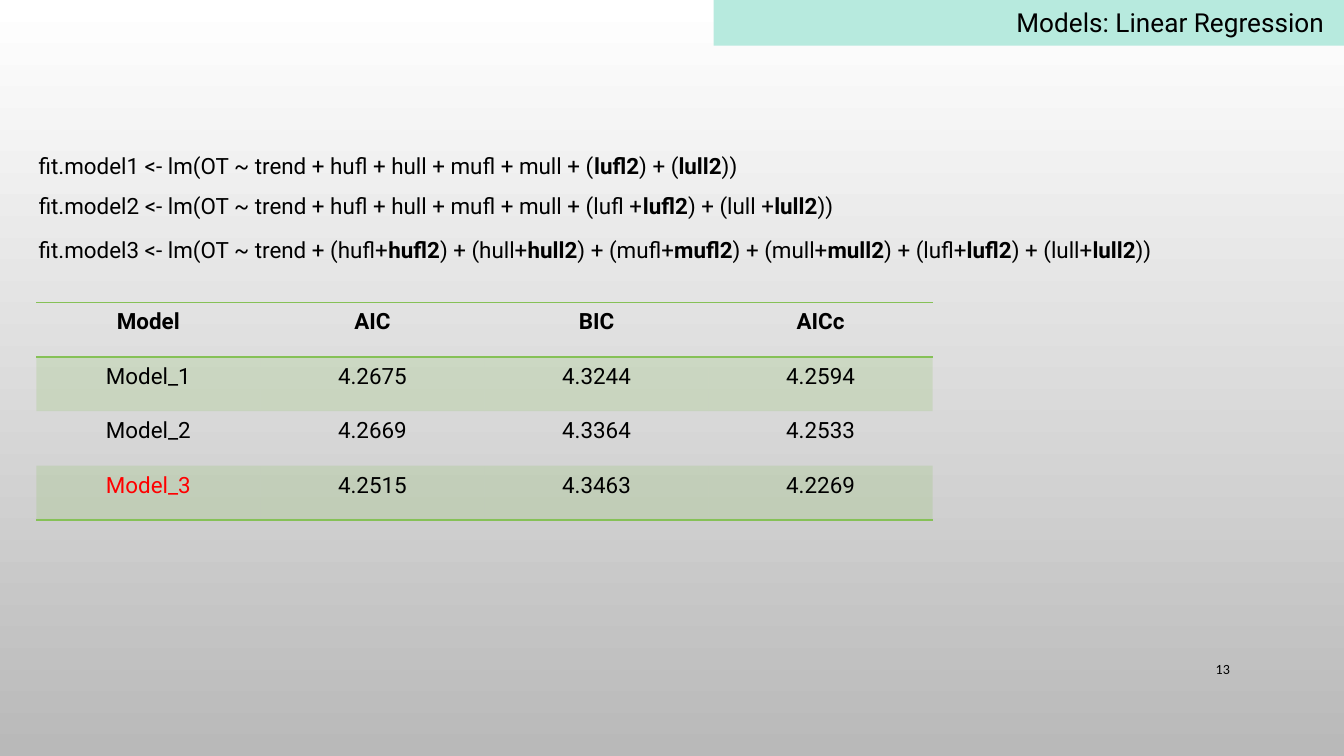
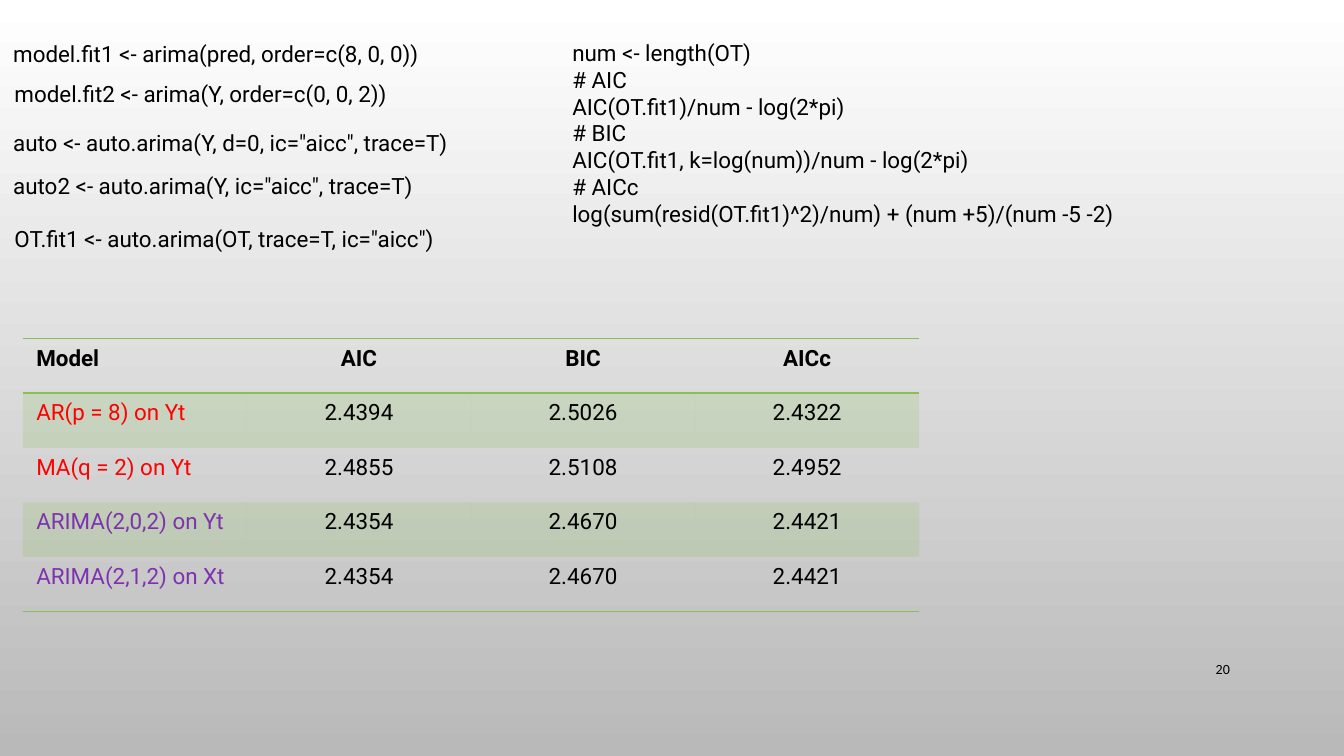
import pptx
import pptx.dml.color
import pptx.enum.shapes
import pptx.enum.text
import pptx.oxml
import pptx.oxml.ns
import pptx.util
from pptx.util import Inches

BLACK, RED, PURPLE = "000000", "FF0000", "7E32B0"
BAND, GREEN = "B7EADE", "86C157"
BACKGROUND = ("FFFFFF", "B9B9B9")
PLAIN_TABLE_STYLE = "{2D5ABB26-0587-4C30-8999-92F81FD0307C}"
TABLE_WIDTH = 6.67
HEADINGS = ("Model", "AIC", "BIC", "AICc")
ALIGN = pptx.enum.text.PP_ALIGN
ANCHOR = pptx.enum.text.MSO_ANCHOR

REGRESSION_FITS = [
    (1.08, 6.36, "fit.model1 <- lm(OT ~ trend + hufl + hull + mufl + mull"
                 " + (**lufl2**) + (**lull2**))"),
    (1.38, 6.75, "fit.model2 <- lm(OT ~ trend + hufl + hull + mufl + mull"
                 " + (lufl +**lufl2**) + (lull +**lull2**))"),
    (1.71, 8.57, "fit.model3 <- lm(OT ~ trend + (hufl+**hufl2**) + (hull+**hull2**)"
                 " + (mufl+**mufl2**) + (mull+**mull2**)"
                 " + (lufl+**lufl2**) + (lull+**lull2**))"),
]
REGRESSION_SCORES = [
    ("Model_1", "4.2675", "4.3244", "4.2594"),
    ("Model_2", "4.2669", "4.3364", "4.2533"),
    ("Model_3", "4.2515", "4.3463", "4.2269"),
]
ARIMA_FITS = [
    (0, 0.25, "model.fit1 <- arima(pred, order=c(8, 0, 0))"),
    (0.01, 0.55, "model.fit2 <- arima(Y, order=c(0, 0, 2))"),
    (0, 0.91, 'auto <- auto.arima(Y, d=0, ic="aicc", trace=T)'),
    (0, 1.23, 'auto2 <- auto.arima(Y, ic="aicc", trace=T)'),
    (0.01, 1.63, 'OT.fit1 <- auto.arima(OT, trace=T, ic="aicc")'),
]
CRITERIA_CODE = """num <- length(OT)
# AIC
AIC(OT.fit1)/num - log(2*pi)
# BIC
AIC(OT.fit1, k=log(num))/num - log(2*pi)
# AICc
log(sum(resid(OT.fit1)^2)/num) + (num +5)/(num -5 -2)"""
ARIMA_SCORES = [
    ("AR(p = 8) on Yt", "2.4394", "2.5026", "2.4322"),
    ("MA(q = 2) on Yt", "2.4855", "2.5108", "2.4952"),
    ("ARIMA(2,0,2) on Yt", "2.4354", "2.4670", "2.4421"),
    ("ARIMA(2,1,2) on Xt", "2.4354", "2.4670", "2.4421"),
]
MODEL_COLORS = {
    "Model_3": RED,
    "AR(p = 8) on Yt": RED,
    "MA(q = 2) on Yt": RED,
    "ARIMA(2,0,2) on Yt": PURPLE,
    "ARIMA(2,1,2) on Xt": PURPLE,
}


def rgb(hex_color):
    return pptx.dml.color.RGBColor.from_string(hex_color)


def write(frame, text, size=12, font="Roboto", color=BLACK, bold=False,
          align=ALIGN.LEFT):
    """Put one paragraph per line into frame; **marks** switch bold."""
    frame.word_wrap = True
    for number, line in enumerate(text.split("\n")):
        paragraph = frame.add_paragraph() if number else frame.paragraphs[0]
        paragraph.alignment = align
        for part, words in enumerate(line.split("**")):
            run = paragraph.add_run()
            run.text = words
            run.font.size = pptx.util.Pt(size)
            run.font.name = font
            run.font.color.rgb = rgb(color)
            run.font.bold = bold or part % 2 == 1


def add_text(slide, left, top, width, height, text, anchor=ANCHOR.TOP, **style):
    box = slide.shapes.add_textbox(
        Inches(left), Inches(top), Inches(width), Inches(height))
    box.text_frame.vertical_anchor = anchor
    write(box.text_frame, text, **style)


def add_slide(deck, page_number):
    """Add a blank slide with the shared gradient and page number."""
    slide = deck.slides.add_slide(deck.slide_layouts[6])
    fill = slide.background.fill
    fill.gradient()
    fill.gradient_angle = 270
    for stop, color in zip(fill.gradient_stops, BACKGROUND):
        stop.color.rgb = rgb(color)
    add_text(slide, 8.62, 4.83, 0.63, 0.3, str(page_number), size=7.5,
             font="Calibri", align=ALIGN.RIGHT, anchor=ANCHOR.MIDDLE)
    return slide


def add_title_band(slide, title):
    band = slide.shapes.add_shape(
        pptx.enum.shapes.MSO_SHAPE.RECTANGLE,
        Inches(5.31), Inches(0), Inches(4.69), Inches(0.34))
    band.shadow.inherit = False
    band.fill.solid()
    band.fill.fore_color.rgb = rgb(BAND)
    band.line.fill.background()
    band.text_frame.vertical_anchor = ANCHOR.TOP
    write(band.text_frame, title, size=14, align=ALIGN.RIGHT)


def rule_cell(cell, *edges):
    """Draw green 1 pt borders on the named edges, such as lnT and lnB."""
    properties = cell._tc.get_or_add_tcPr()
    for position, edge in enumerate(edges):
        properties.insert(position, pptx.oxml.parse_xml(
            f'<a:{edge} {pptx.oxml.ns.nsdecls("a")} w="12700"><a:solidFill>'
            f'<a:srgbClr val="{GREEN}"/></a:solidFill></a:{edge}>'))


def tint_cell(cell):
    """Fill with green at 20% opacity."""
    cell.fill.solid()
    cell.fill.fore_color.rgb = rgb(GREEN)
    for color in cell._tc.tcPr.iter(pptx.oxml.ns.qn("a:srgbClr")):
        color.append(pptx.oxml.parse_xml(
            f'<a:alpha {pptx.oxml.ns.nsdecls("a")} val="20000"/>'))


def add_score_table(slide, left, top, height, scores, model_align):
    rows = [HEADINGS, *scores]
    frame = slide.shapes.add_table(
        len(rows), len(HEADINGS), Inches(left), Inches(top),
        Inches(TABLE_WIDTH), Inches(height))
    for style in frame.element.iter(pptx.oxml.ns.qn("a:tableStyleId")):
        style.text = PLAIN_TABLE_STYLE
    for row, values in enumerate(rows):
        for column, value in enumerate(values):
            cell = frame.table.cell(row, column)
            write(cell.text_frame, value, bold=row == 0,
                  color=MODEL_COLORS.get(value, BLACK),
                  align=ALIGN.CENTER if column else model_align)
            if row % 2:
                tint_cell(cell)
            else:
                cell.fill.background()
            if row == 0:
                rule_cell(cell, "lnT", "lnB")
            elif row == len(rows) - 1:
                rule_cell(cell, "lnB")


def build_regression_slide(deck):
    slide = add_slide(deck, 13)
    add_title_band(slide, "Models: Linear Regression ")
    for top, width, code in REGRESSION_FITS:
        add_text(slide, 0.19, top, width, 0.3, code)
    add_score_table(slide, 0.27, 2.25, 1.62, REGRESSION_SCORES, ALIGN.CENTER)


def build_arima_slide(deck):
    slide = add_slide(deck, 20)
    add_score_table(slide, 0.17, 2.52, 2.03, ARIMA_SCORES, ALIGN.LEFT)
    for left, top, code in ARIMA_FITS:
        add_text(slide, left, top, 5, 0.3, code)
    add_text(slide, 4.16, 0.24, 4.78, 1.51, CRITERIA_CODE)


def main():
    deck = pptx.Presentation()
    deck.slide_width = Inches(10)
    deck.slide_height = Inches(10 * 9 / 16)
    build_regression_slide(deck)
    build_arima_slide(deck)
    deck.save("out.pptx")


if __name__ == "__main__":
    main()
